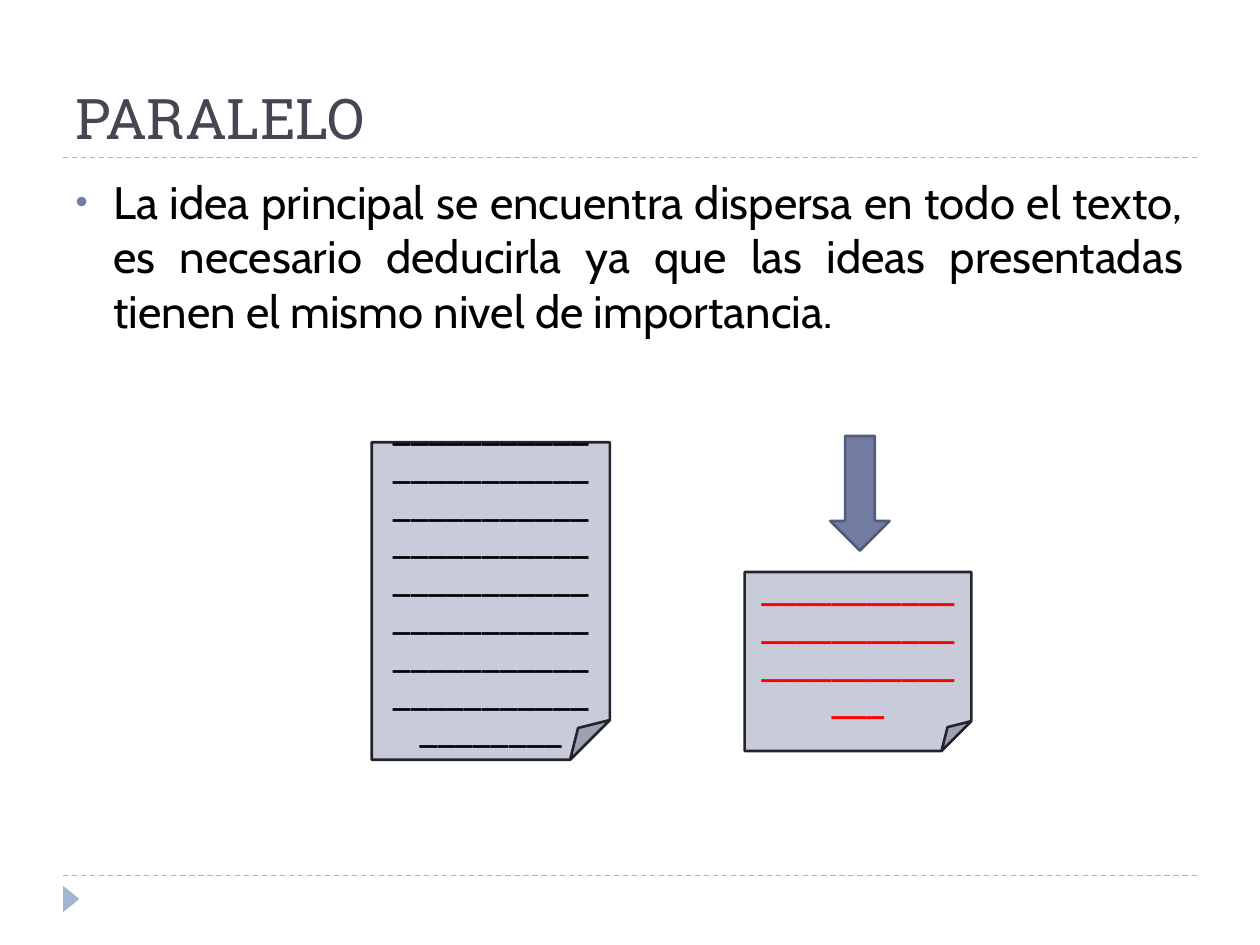
from pptx import Presentation
from pptx.dml.color import RGBColor
from pptx.enum.dml import MSO_LINE
from pptx.enum.shapes import MSO_CONNECTOR, MSO_SHAPE
from pptx.enum.text import MSO_ANCHOR, MSO_AUTO_SIZE, PP_ALIGN
from pptx.oxml.ns import qn
from pptx.util import Inches, Pt
from lxml.etree import SubElement

SKY = RGBColor(0x9F, 0xB8, 0xCD)
SLATE = RGBColor(0x46, 0x46, 0x53)
BLUE = RGBColor(0x72, 0x7C, 0xA3)
NAVY = RGBColor(0x54, 0x5C, 0x79)
PAPER = RGBColor(0xC7, 0xCB, 0xDA)
INK = RGBColor(0x23, 0x23, 0x2A)
BLACK = RGBColor(0, 0, 0)
RED = RGBColor(0xFF, 0, 0)
HEAD, TEXT = "Roboto Slab", "Cabin"


def place(shape, box):
    """Move a shape to a box of left, top, width and height in inches."""
    shape.left, shape.top, shape.width, shape.height = map(Inches, box)


def style(font, name, size, color, bold=False):
    """Set the face, size, colour and weight of a font."""
    font.name, font.size, font.bold = name, Pt(size), bold
    font.color.rgb = color


def draw(slide, kind, box, fill, edge=None):
    """Add a flat preset shape with an optional outline."""
    shape = slide.shapes.add_shape(kind, *map(Inches, box))
    shape.shadow.inherit = False
    shape.fill.solid()
    shape.fill.fore_color.rgb = fill
    if edge is None:
        shape.line.fill.background()
    else:
        shape.line.color.rgb = edge
        shape.line.width = Pt(1.5)
    return shape


def add_rule(slide, left, top, width):
    """Add a dashed horizontal rule."""
    ends = map(Inches, (left, top, left + width, top))
    rule = slide.shapes.add_connector(MSO_CONNECTOR.STRAIGHT, *ends)
    rule.line.color.rgb = SKY
    rule.line.width = Pt(0.75)
    rule.line.dash_style = MSO_LINE.DASH
    SubElement(rule._element.spPr, qn("a:effectLst"))


def add_frame(slide, box):
    """Add the two rules and the corner marker of the page."""
    left, top, width, height = box
    for level in (top + height, top):
        add_rule(slide, left, level, width)
    mark = draw(slide, MSO_SHAPE.ISOSCELES_TRIANGLE,
                (left - 0.04, top + height + 0.12, 0.21, 0.13), SKY)
    mark.rotation = 90


def fill_title(slide, box, text):
    """Place and format the title."""
    title = slide.shapes.title
    place(title, box)
    frame = title.text_frame
    frame.text = text
    frame.auto_size = MSO_AUTO_SIZE.NONE
    frame.vertical_anchor = MSO_ANCHOR.BOTTOM
    para = frame.paragraphs[0]
    para.alignment = PP_ALIGN.LEFT
    style(para.font, HEAD, 32, SLATE)


def fill_body(slide, box, text):
    """Place the body list with its one justified bullet."""
    body = slide.placeholders[1]
    place(body, box)
    frame = body.text_frame
    frame.text = text
    frame.auto_size = MSO_AUTO_SIZE.NONE
    para = frame.paragraphs[0]
    para.alignment = PP_ALIGN.JUSTIFY
    para.space_before = Pt(0)
    props = para._p.get_or_add_pPr()
    props.set("marL", str(Inches(0.3)))
    props.set("indent", str(Inches(-0.3)))
    color = SubElement(props, qn("a:buClr"))
    SubElement(color, qn("a:srgbClr"), val=str(BLUE))
    SubElement(props, qn("a:buSzPct"), val="76000")
    SubElement(props, qn("a:buFont"), typeface="Arial")
    SubElement(props, qn("a:buChar"), char="•")
    style(para.font, TEXT, 26, BLACK)


def add_page(slide, box, count, color, bold=False):
    """Add a folded sheet ruled with underscores."""
    page = draw(slide, MSO_SHAPE.FOLDED_CORNER, box, PAPER, INK)
    frame = page.text_frame
    frame.word_wrap = True
    frame.vertical_anchor = MSO_ANCHOR.MIDDLE
    frame.text = "_" * count
    para = frame.paragraphs[0]
    para.alignment = PP_ALIGN.CENTER
    style(para.font, TEXT, 18, color, bold)


def add_figure(slide, left, top):
    """Add the full text, the deduced idea and the arrow above it."""
    add_page(slide, (left, top + 0.05, 1.89, 2.52), 96, BLACK)
    add_page(slide, (left + 2.96, top + 1.08, 1.8, 1.42), 36, RED, True)
    draw(slide, MSO_SHAPE.DOWN_ARROW, (left + 3.64, top, 0.47, 0.91), BLUE, NAVY)


def main():
    """Build and save the slide."""
    deck = Presentation()
    deck.slide_width, deck.slide_height = Inches(10), Inches(7.5)
    slide = deck.slides.add_slide(deck.slide_layouts[1])
    add_frame(slide, (0.5, 1.25, 9, 5.7))
    fill_title(slide, (0.5, 0.17, 9, 1.08), "PARALELO")
    fill_body(slide, (0.5, 1.33, 9, 5.4),
              "La idea principal se encuentra dispersa en todo el texto, "
              "es necesario deducirla ya que las ideas presentadas "
              "tienen el mismo nivel de importancia.")
    add_figure(slide, 2.95, 3.46)
    deck.save("out.pptx")


if __name__ == "__main__":
    main()
